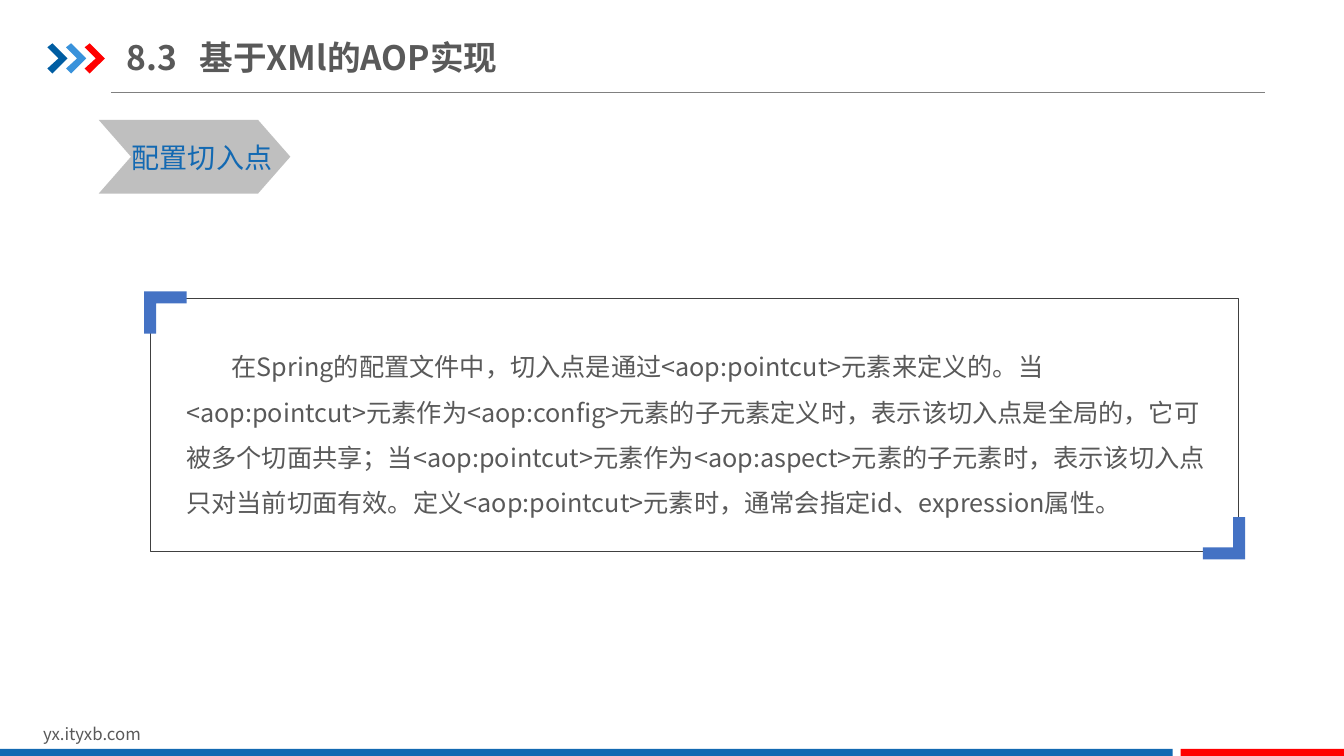
"""Build the slide on configuring pointcuts in XML-based AOP."""
import pptx
import pptx.dml.color
import pptx.enum.shapes
import pptx.enum.text
import pptx.oxml
import pptx.oxml.ns
import pptx.util
import lxml.etree

Inches = pptx.util.Inches
SHAPE = pptx.enum.shapes.MSO_SHAPE
ANCHOR = pptx.enum.text.MSO_ANCHOR
GROW = pptx.enum.text.MSO_AUTO_SIZE.SHAPE_TO_FIT_TEXT
qn = pptx.oxml.ns.qn


class Deck:
    FONT = "Noto Sans CJK SC"
    COLORS = {
        "text": "595959", "rule": "808080", "frame": "404040",
        "label": "BFBFBF", "brand": "1369B2", "red": "FF0000",
        "navy": "005DA2", "sky": "3992DB", "corner": "4472C4",
    }

    def __init__(self, width, height):
        self.prs = pptx.Presentation()
        self.prs.slide_width = Inches(width)
        self.prs.slide_height = Inches(height)
        self.s = self.prs.slides.add_slide(self.prs.slide_layouts[6])

    def color(self, name):
        return pptx.dml.color.RGBColor.from_string(self.COLORS[name])

    def paint(self, sp, fill=None, line=None, weight=0.25):
        sp.shadow.inherit = False
        if fill:
            sp.fill.solid()
            sp.fill.fore_color.rgb = self.color(fill)
        else:
            sp.fill.background()
        if line:
            sp.line.color.rgb = self.color(line)
            sp.line.width = pptx.util.Pt(weight)
        else:
            sp.line.fill.background()

    def shape(self, kind, box, adj=None, **style):
        sp = self.s.shapes.add_shape(kind, *map(Inches, box))
        if adj is not None:
            sp.adjustments[0] = adj
        self.paint(sp, **style)

    def outline(self, points, fill):
        points = [(Inches(x), Inches(y)) for x, y in points]
        fb = self.s.shapes.build_freeform(*points[0])
        fb.add_line_segments(points[1:], close=True)
        self.paint(fb.convert_to_shape(), fill=fill)

    def line(self, x1, y1, x2, y2, color, weight):
        ends = map(Inches, (x1, y1, x2, y2))
        cx = self.s.shapes.add_connector(pptx.enum.shapes.MSO_CONNECTOR.STRAIGHT, *ends)
        cx.line.color.rgb = self.color(color)
        cx.line.width = pptx.util.Pt(weight)
        lxml.etree.SubElement(cx._element.spPr, qn("a:effectLst"))

    def text(self, box, text, size, color="text", bold=False, indent=0, tab=None,
             spacing=None, **frame):
        tf = self.s.shapes.add_textbox(*map(Inches, box)).text_frame
        for key, value in {"word_wrap": True, **frame}.items():
            setattr(tf, key, value)
        p = tf.paragraphs[0]
        pPr = p._p.get_or_add_pPr()
        if indent:
            pPr.set("indent", str(Inches(indent)))
        if spacing:
            p.line_spacing = spacing
        if tab:
            tabs = lxml.etree.SubElement(pPr, qn("a:tabLst"))
            lxml.etree.SubElement(tabs, qn("a:tab"), pos=str(Inches(tab)), algn="l")
        r = p.add_run()
        r.text = text
        style = {"name": self.FONT, "size": pptx.util.Pt(size), "bold": bold}
        for key, value in style.items():
            setattr(r.font, key, value)
        r.font.color.rgb = self.color(color)
        lxml.etree.SubElement(r._r.get_or_add_rPr(), qn("a:ea"), typeface=self.FONT)


def main():
    deck = Deck(13.33, 7.5)

    deck.line(1.1, 0.92, 12.55, 0.92, "rule", 0.5)
    arrow = [(0, 0.04), (0.05, 0), (0.2, 0.15), (0.05, 0.3), (0, 0.25), (0.11, 0.15)]
    for i, fill in enumerate(("navy", "sky", "red")):
        left = 0.47 + 0.185 * i
        deck.outline([(left + x, 0.43 + y) for x, y in arrow], fill)

    deck.text((0.33, 7.13, 3.18, 0.3), "yx.ityxb.com", 12, auto_size=GROW)
    for left, width, fill in ((0, 11.63, "brand"), (11.71, 1.63, "red")):
        deck.shape(SHAPE.RECTANGLE, (left, 7.43, width, 0.09), fill=fill)

    deck.shape(SHAPE.CHEVRON, (0.98, 1.19, 1.9, 0.73), adj=0.438, fill="label")
    deck.text((1.21, 1.34, 1.69, 0.44), "配置切入点", 20, color="brand",
              word_wrap=False, auto_size=GROW)
    deck.text((1.26, 0.29, 4.04, 0.55), "8.3\t基于XMl的AOP实现", 24, bold=True, tab=0.72,
              vertical_anchor=ANCHOR.MIDDLE, margin_left=0, margin_right=0,
              margin_top=Inches(0.07), margin_bottom=Inches(0.07))

    deck.text((1.75, 3.29, 10.3, 1.93),
              "在Spring的配置文件中，切入点是通过<aop:pointcut>元素来定义的。"
              "当<aop:pointcut>元素作为<aop:config>元素的子元素定义时，"
              "表示该切入点是全局的，它可被多个切面共享；"
              "当<aop:pointcut>元素作为<aop:aspect>元素的子元素时，"
              "表示该切入点只对当前切面有效。"
              "定义<aop:pointcut>元素时，通常会指定id、expression属性。",
              18, indent=0.45, spacing=1.5)
    deck.shape(SHAPE.ROUNDED_RECTANGLE, (1.49, 2.96, 10.79, 2.51), adj=0, line="frame")
    corner = [(0, 0), (0.42, 0), (0.42, 0.12), (0.12, 0.12), (0.12, 0.42), (0, 0.42)]
    for left, top, sign in ((1.43, 2.89, 1), (12.35, 5.55, -1)):
        deck.outline([(left + sign * x, top + sign * y) for x, y in corner], "corner")

    deck.prs.save("out.pptx")


if __name__ == "__main__":
    main()
